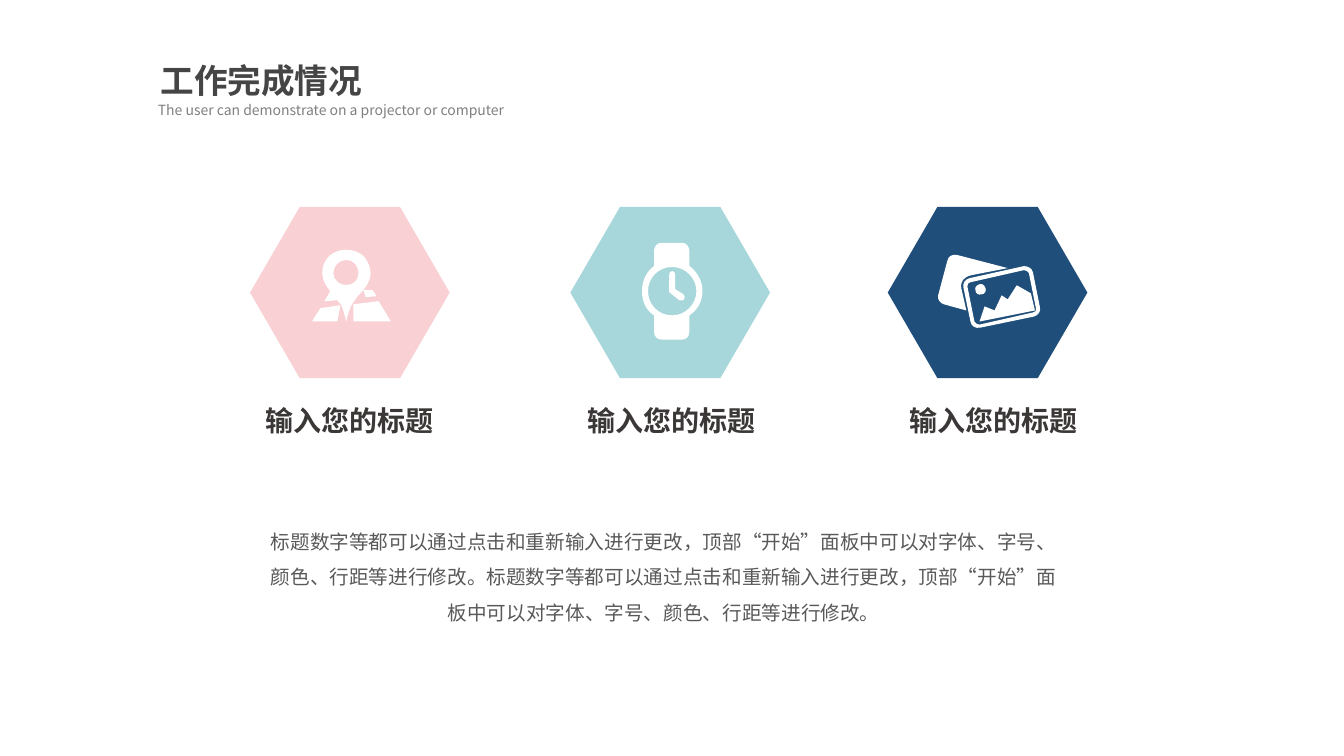
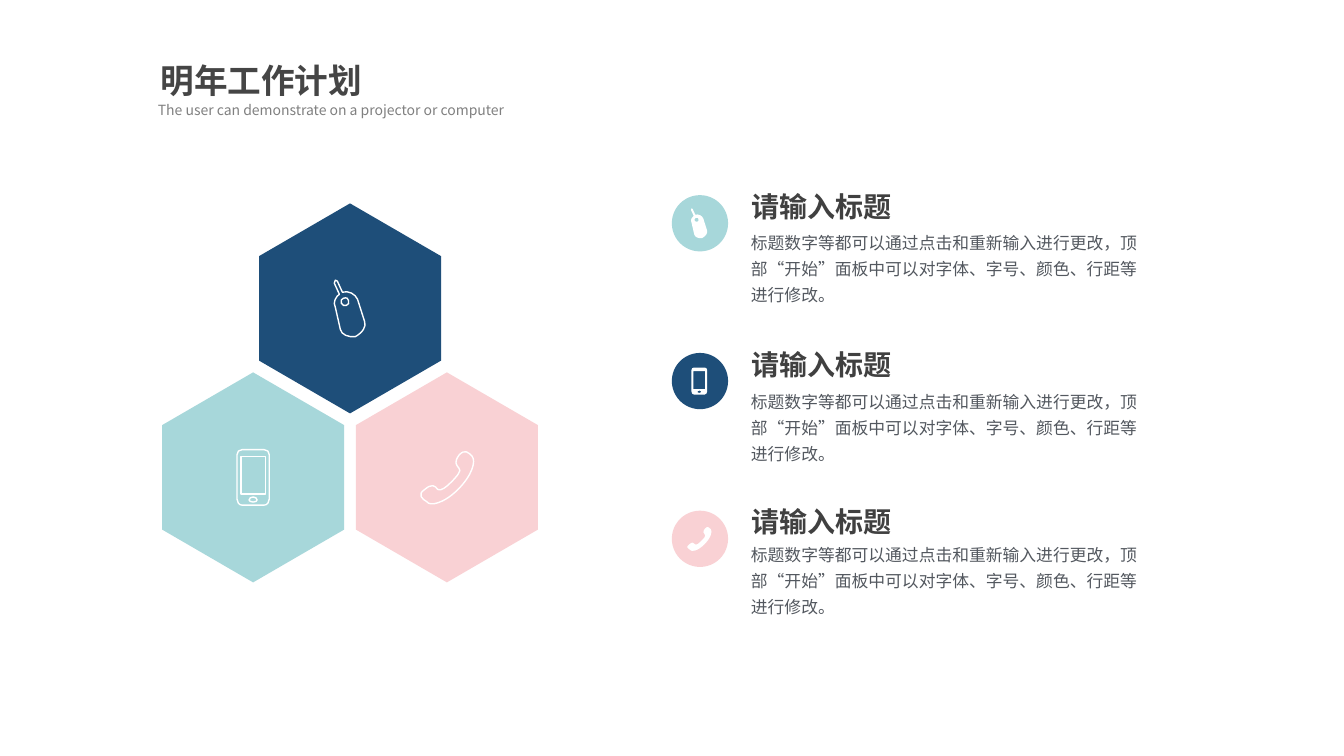
from lxml.etree import SubElement
from pptx import Presentation
from pptx.dml.color import RGBColor
from pptx.enum.shapes import MSO_SHAPE as Preset
from pptx.enum.text import MSO_ANCHOR as Anchor, PP_ALIGN as Align
from pptx.oxml.ns import qn
from pptx.util import Pt

FONT = "Noto Sans CJK SC"
PINK, TEAL, NAVY, WHITE = "F9D1D4", "A7D7DA", "1E4E79", "FFFFFF"
TITLE_GREY, SUBTITLE_GREY = "454545", "808080"
LABEL_GREY, SUMMARY_GREY = "3B3737", "595959"
HEADING_GREY, DETAIL_GREY = "404040", "53585F"

SUBTITLE = "The user can demonstrate on a projector or computer"
HINT = ("标题数字等都可以通过点击和重新输入进行更改，顶部“开始”面板中"
        "可以对字体、字号、颜色、行距等进行修改。")

# Icons: width, height, then one outline per part
# (M move, L line, C cubic curve, Z close)
MAP_PIN = (79, 71, """M53 47 L64 46 L60 40 L51 40 Z
 M0 71 L25 71 L28 55 L8 58 Z
 M50 41 C55 35 58 29 58 23 C58 17 55 11 51 6 C46 2 40 0 34 0 C27 0 22 2 17 6
 C12 11 10 17 10 23 C10 29 13 35 18 41 L12 51 L25 50 C27 52 28 54 29 55
 C31 59 32 65 34 71 C35 65 37 59 39 55 C41 52 44 47 48 43 Z
 M34 35 C27 35 21 30 21 23 C21 16 27 10 34 10 C41 10 46 16 46 23
 C46 30 41 35 34 35 Z M66 51 L41 54 L41 71 L78 71 Z""")
WATCH = (60, 96, """M41 51 L33 46 L33 32 C33 30 32 28 30 28
 C28 28 27 30 27 32 L27 49 L37 57 C39 58 41 57 42 56 C43 54 42 52 41 51 Z""",
 """M60 48 C60 38 55 29 47 23 L47 8 C47 4 44 0 40 0 L19 0 C15 0 12 4 12 8
 L12 23 C4 29 0 38 0 48 C0 58 4 67 12 72 L12 88 C12 93 15 96 19 96 L40 96
 C44 96 47 93 47 88 L47 72 C55 67 60 58 60 48 Z
 M6 48 C6 35 16 24 30 24 C43 24 54 35 54 48 C54 61 43 72 30 72
 C16 72 6 61 6 48 Z""")
PHOTOS = (103, 74, """M34 21 L70 14 L20 1 C15 0 11 2 10 7 L1 41
 C0 45 3 49 7 50 L29 56 L24 34 C23 27 26 23 34 21 Z""",
 """M44 40 C47 40 49 37 48 34 C47 31 45 29 42 30 C39 31 37 33 38 36
 C38 39 41 41 44 40 Z""",
 """M86 12 L32 24 C28 25 25 29 26 33 L33 67 C34 72 38 74 43 73 L96 62
 C100 61 103 57 102 53 L95 18 C94 14 90 12 86 12 Z
 M98 54 C99 56 97 58 95 58 L42 70 C40 70 38 69 37 67 L30 32
 C30 30 31 28 33 28 L86 16 C88 16 90 17 91 19 Z""",
 "M70 45 L64 41 L57 56 L47 52 L42 67 L97 56 L93 39 L79 31 Z")
MOUSE = (31, 56, """M30 41 L23 19 C21 14 14 10 8 12 L3 1 C2 0 2 0 1 0
 C0 1 0 2 0 3 L5 14 C2 16 -2 22 1 27 L6 49 C7 54 14 57 21 56
 C28 52 32 46 30 41 Z
 M12 25 C10 26 8 25 7 23 C6 21 7 18 9 18 C12 17 14 18 14 20
 C15 22 14 25 12 25 Z""")
PHONE = (32, 55, """M27 0 L5 0 C2 0 0 2 0 5 L0 49 C0 52 2 55 5 55 L27 55
 C30 55 32 52 32 49 L32 5 C32 2 30 0 27 0 Z
 M16 52 C14 52 12 51 12 50 C12 48 14 47 16 47 C18 47 20 48 20 50
 C20 51 18 52 16 52 Z M28 44 L4 44 L4 7 L28 7 Z""")
HANDSET = (52, 52, """M30 31 C26 35 20 40 17 38 C14 34 11 32 4 38
 C-4 43 2 48 6 50 C9 55 23 52 37 38 C51 24 55 10 51 5 C48 2 44 -3 38 4
 C33 11 35 13 38 17 C41 19 36 25 30 31 Z""")
LARGE = 0.72

# label, colour, hexagon centre across, icon, icon centre
RESULTS = [
    ("输入您的标题", PINK, 249.9, MAP_PIN, (251.4, 204)),
    ("输入您的标题", TEAL, 478.7, WATCH, (480.2, 208)),
    ("输入您的标题", NAVY, 705.4, PHOTOS, (706.5, 208.1)),
]
# colour, icon, hexagon centre
CLUSTER = [
    (NAVY, MOUSE, (250, 220.3)),
    (TEAL, PHONE, (180.8, 341)),
    (PINK, HANDSET, (319.2, 341)),
]
# heading, colour, icon, icon scale, top of the detail text
PLANS = [
    ("请输入标题", TEAL, MOUSE, 0.38, 160.4),
    ("请输入标题", NAVY, PHONE, 0.35, 273.8),
    ("请输入标题", PINK, HANDSET, 0.33, 383),
]


def rgb(color):
    return RGBColor.from_string(color)


def paint(shape, fill=None, line=None):
    shape.shadow.inherit = False
    if fill:
        shape.fill.solid()
        shape.fill.fore_color.rgb = rgb(fill)
    else:
        shape.fill.background()
    if line:
        shape.line.color.rgb = rgb(line)
        shape.line.width = Pt(1)
    else:
        shape.line.fill.background()


def add_text(slide, text, box, size, color, bold=False, align=Align.LEFT,
             spacing=1.0, inset=None, wrap=True):
    """Add one paragraph; a given inset also centres it vertically."""
    frame = slide.shapes.add_textbox(*map(Pt, box)).text_frame
    frame.word_wrap = wrap
    if inset is not None:
        frame.vertical_anchor = Anchor.MIDDLE
        frame.margin_left = frame.margin_right = Pt(inset)
        frame.margin_top = frame.margin_bottom = Pt(inset)
    paragraph = frame.paragraphs[0]
    paragraph.text = text
    paragraph.alignment = align
    paragraph.line_spacing = spacing
    font = paragraph.font
    font.size, font.bold, font.name = Pt(size), bold, FONT
    font.color.rgb = rgb(color)
    defaults = paragraph._p.pPr.find(qn("a:defRPr"))
    SubElement(defaults, qn("a:ea")).set("typeface", FONT)


def add_preset(slide, preset, center, width, height, color):
    x, y = center
    shape = slide.shapes.add_shape(preset, Pt(x - width / 2), Pt(y - height / 2),
                                   Pt(width), Pt(height))
    paint(shape, color)
    return shape


def add_hexagon(slide, center, width, height, color, rotation=0):
    hexagon = add_preset(slide, Preset.HEXAGON, center, width, height, color)
    hexagon.adjustments[0] = 0.29
    hexagon.rotation = rotation


def trace(outline):
    """Return the contours as point lists, and the point count of each segment."""
    contours, counts = [], []
    for token in outline.replace("Z", "").split():
        command = token[0]
        if command == "M":
            contours.append([])
        elif command in "LC":
            counts.append(1 if command == "L" else 3)
        contours[-1].append(float(token.lstrip("MLC")))
    return [list(zip(c[::2], c[1::2])) for c in contours], counts


def bend(shape, counts):
    """Join each three lines that stand for a curve into a cubic curve."""
    lines = iter(list(shape._element.iter(qn("a:lnTo"))))
    for count in counts:
        segment = next(lines)
        if count == 3:
            segment.tag = qn("a:cubicBezTo")
            for _ in range(2):
                extra = next(lines)
                extra.getparent().remove(extra)
                segment.append(extra[0])


def add_icon(slide, icon, center, scale, fill=None, line=None):
    width, height, *outlines = icon
    left, top = center[0] - width * scale / 2, center[1] - height * scale / 2

    def place(point):
        return Pt(left + point[0] * scale), Pt(top + point[1] * scale)

    for outline in outlines:
        contours, counts = trace(outline)
        builder = slide.shapes.build_freeform(*place(contours[0][0]))
        for number, contour in enumerate(contours):
            start, *rest = map(place, contour)
            if number:
                builder.move_to(*start)
            builder.add_line_segments(rest, close=True)
        part = builder.convert_to_shape()
        bend(part, counts)
        paint(part, fill, line)


def add_titled_slide(deck, title):
    slide = deck.slides.add_slide(deck.slide_layouts[6])
    add_text(slide, SUBTITLE, (105.7, 68.8, 312, 19.4), 10, SUBTITLE_GREY)
    add_text(slide, title, (107.6, 39.6, 202, 36), 24, TITLE_GREY, bold=True)
    return slide


def build_results(deck):
    slide = add_titled_slide(deck, "工作完成情况")
    for column, (label, color, x, icon, icon_center) in enumerate(RESULTS):
        add_hexagon(slide, (x, 209), 142.6, 122.4, color)
        add_icon(slide, icon, icon_center, LARGE, fill=WHITE)
        add_text(slide, label, (176.3 + 230.1 * column, 280, 147, 34), 20,
                 LABEL_GREY, bold=True, align=Align.CENTER, spacing=1.2)
    add_text(slide, HINT * 2, (181.2, 366.7, 586, 80.6), 14, SUMMARY_GREY,
             align=Align.CENTER, spacing=1.5)


def build_plans(deck):
    slide = add_titled_slide(deck, "明年工作计划")
    for color, icon, center in CLUSTER:
        add_hexagon(slide, center, 150, 130, color, rotation=90)
        add_icon(slide, icon, center, LARGE, line=WHITE)
    for row, (heading, color, icon, scale, detail_top) in enumerate(PLANS):
        x, y = 500, 159.5 + 112.7 * row
        add_preset(slide, Preset.OVAL, (x, y), 40.2, 40.2, color)
        add_icon(slide, icon, (x - 0.5, y), scale, fill=WHITE)
        add_text(slide, heading, (534.4, y - 26.3, 105, 28), 20,
                 HEADING_GREY, bold=True, inset=2.2, wrap=False)
        add_text(slide, HINT, (534.2, detail_top, 290, 59), 12, DETAIL_GREY,
                 spacing=1.3, inset=2.2)


def main():
    deck = Presentation()
    deck.slide_width, deck.slide_height = Pt(960), Pt(540)
    build_results(deck)
    build_plans(deck)
    deck.save("out.pptx")


if __name__ == "__main__":
    main()
